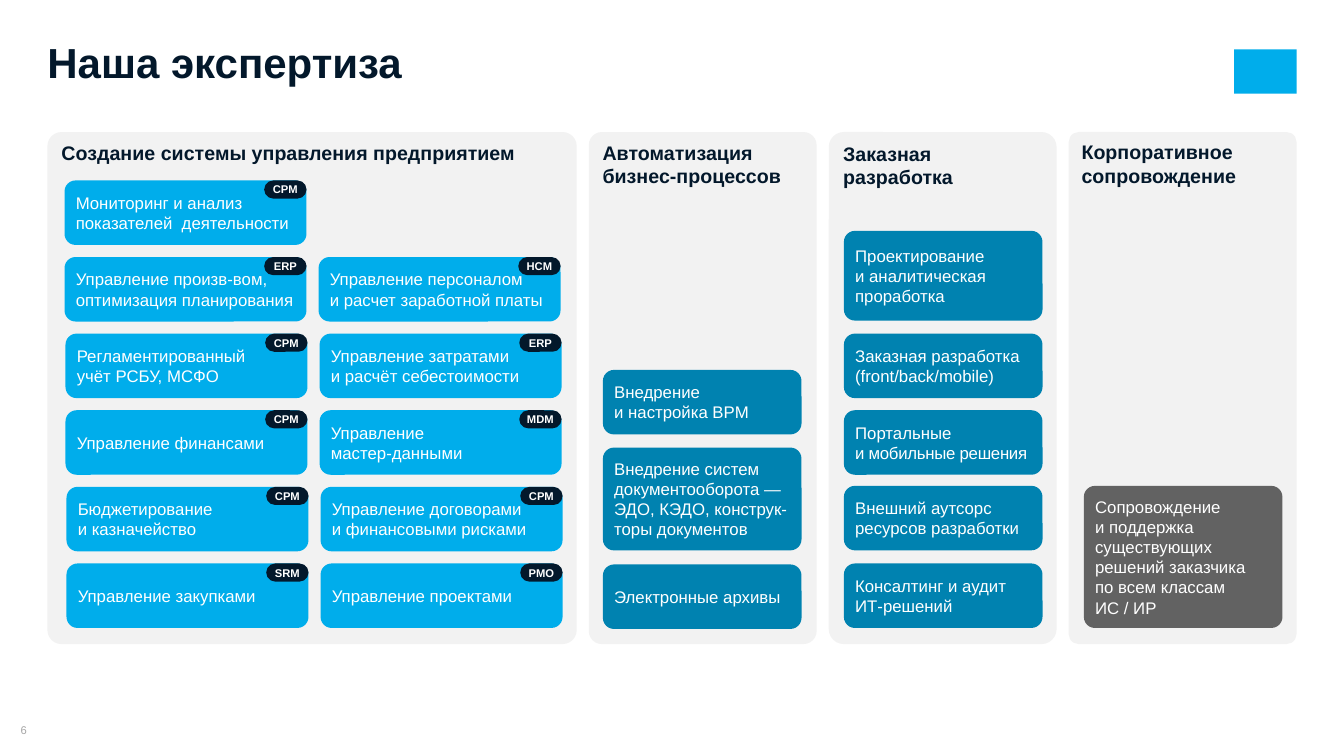
import pptx
import pptx.dml.color
import pptx.enum.shapes
import pptx.enum.text
import pptx.util

RGBColor = pptx.dml.color.RGBColor
NAVY = RGBColor(0x03, 0x18, 0x2B)
SKY = RGBColor(0x00, 0xAD, 0xEB)
TEAL = RGBColor(0x00, 0x82, 0xB0)
GRAPHITE = RGBColor(0x62, 0x62, 0x62)
PALE = RGBColor(0xF2, 0xF2, 0xF2)
GREY = RGBColor(0xA6, 0xA6, 0xA6)
WHITE = RGBColor(0xFF, 0xFF, 0xFF)

TITLE = "Наша экспертиза"
PAGE = "6"
PANELS = [
    ("Создание системы управления предприятием", 525, 14),
    ("Автоматизация бизнес-процессов", 226, 13),
    ("Заказная разработка", 226, 15),
    ("Корпоративное сопровождение", 226, 10),
]
SYSTEMS = [
    [("Мониторинг и анализ показателей  деятельности", "СРМ")],
    [("Управление произв-вом, оптимизация планирования", "ERP"),
     ("Управление персоналом\nи расчет заработной платы", "HCM")],
    [("Регламентированный\nучёт РСБУ, МСФО", "СРМ"),
     ("Управление затратами\nи расчёт себестоимости", "ERP")],
    [("Управление финансами", "СРМ"),
     ("Управление\nмастер-данными", "MDM")],
    [("Бюджетирование\nи казначейство", "СРМ"),
     ("Управление договорами\nи финансовыми рисками", "СРМ")],
    [("Управление закупками", "SRM"),
     ("Управление проектами", "PMO")],
]
SERVICES = [
    (598, TEAL, [
        ("Внедрение\nи настройка BPM", 367, 64),
        ("Внедрение систем документооборота — ЭДО, КЭДО, конструк-торы документов", 444, 102),
        ("Электронные архивы", 560, 64),
    ]),
    (837, TEAL, [
        ("Проектирование\nи аналитическая проработка", 229, 89),
        ("Заказная разработка (front/back/mobile)", 331, 64),
        ("Портальные\nи мобильные решения", 407, 64),
        ("Внешний аутсорс ресурсов разработки", 482, 64),
        ("Консалтинг и аудит ИТ-решений", 559, 64),
    ]),
    (1075, GRAPHITE, [
        ("Сопровождение\nи поддержка существующих решений заказчика\nпо всем классам\nИС / ИР", 482, 141),
    ]),
]
TIGHT_LINE = "и мобильные решения"

PX = 9144
PANEL_LEFT, PANEL_TOP, PANEL_H, PANEL_GAP = 47, 131, 508, 12
CARD_LEFT, CARD_TOP, CARD_W, CARD_H = 64, 179, 240, 64
COL_STEP, ROW_STEP, CARD_RADIUS = 252, 76, 11
SERVICE_W = 197
BADGE_W, BADGE_H = 42, 18

ANCHOR = pptx.enum.text.MSO_ANCHOR
ALIGN = pptx.enum.text.PP_ALIGN
SHAPE = pptx.enum.shapes.MSO_SHAPE


def px(*values):
    return [v * PX for v in values]


def write(sp, text, size, color, bold=False, align=ALIGN.LEFT, anchor=ANCHOR.MIDDLE, inset=(0, 0)):
    tf = sp.text_frame
    tf.word_wrap = True
    tf.auto_size = pptx.enum.text.MSO_AUTO_SIZE.NONE
    tf.vertical_anchor = anchor
    tf.margin_left = tf.margin_right = inset[0] * PX
    tf.margin_top = tf.margin_bottom = inset[1] * PX
    p = tf.paragraphs[0]
    p.alignment = align
    for i, line in enumerate(text.split("\n")):
        if i:
            p.add_line_break()
        r = p.add_run()
        r.text = line
        r.font.name = "Arial"
        r.font.size = pptx.util.Pt(size)
        r.font.bold = bold
        r.font.color.rgb = color
        if line == TIGHT_LINE:
            r.font._element.set("spc", "-20")
    return p


def add_box(s, x, y, w, h, fill, radius):
    sp = s.shapes.add_shape(SHAPE.ROUNDED_RECTANGLE, *px(x, y, w, h))
    sp.adjustments[0] = radius / min(w, h)
    sp.shadow.inherit = False
    sp.fill.solid()
    sp.fill.fore_color.rgb = fill
    sp.line.fill.background()
    return sp


def add_card(s, text, x, y, w, h, fill):
    sp = add_box(s, x, y, w, h, fill, CARD_RADIUS)
    write(sp, text, 12, WHITE, inset=(8, 8))


def add_badge(s, text, right, y):
    sp = add_box(s, right - BADGE_W, y, BADGE_W, BADGE_H, NAVY, BADGE_H / 2)
    write(sp, text, 8, WHITE, True, ALIGN.CENTER, inset=(4, 5))


def main():
    prs = pptx.Presentation()
    prs.slide_width, prs.slide_height = px(1333, 750)
    s = prs.slides.add_slide(prs.slide_layouts[5])

    title = s.shapes.title
    title.left, title.top, title.width, title.height = px(47, 46, 1051, 41)
    write(title, TITLE, 30, NAVY, True, anchor=ANCHOR.TOP).line_spacing = 0.8

    add_box(s, 1224, 49, 62, 44, SKY, 0)
    write(s.shapes.add_textbox(*px(0, 718, 47, 13)), PAGE, 8, GREY, align=ALIGN.CENTER)

    x = PANEL_LEFT
    for heading, w, radius in PANELS:
        sp = add_box(s, x, PANEL_TOP, w, PANEL_H, PALE, radius)
        p = write(sp, heading, 14, NAVY, True, anchor=ANCHOR.TOP, inset=(10, 5))
        p.space_after = pptx.util.Pt(12)
        x += w + PANEL_GAP

    for row, systems in enumerate(SYSTEMS):
        y = CARD_TOP + row * ROW_STEP
        for col, (text, badge) in enumerate(systems):
            x = CARD_LEFT + col * COL_STEP + row // 2
            add_card(s, text, x, y, CARD_W, CARD_H, SKY)
            add_badge(s, badge, x + CARD_W, y)

    for x, fill, cards in SERVICES:
        for text, y, h in cards:
            add_card(s, text, x, y, SERVICE_W, h, fill)

    prs.save("out.pptx")


if __name__ == "__main__":
    main()
